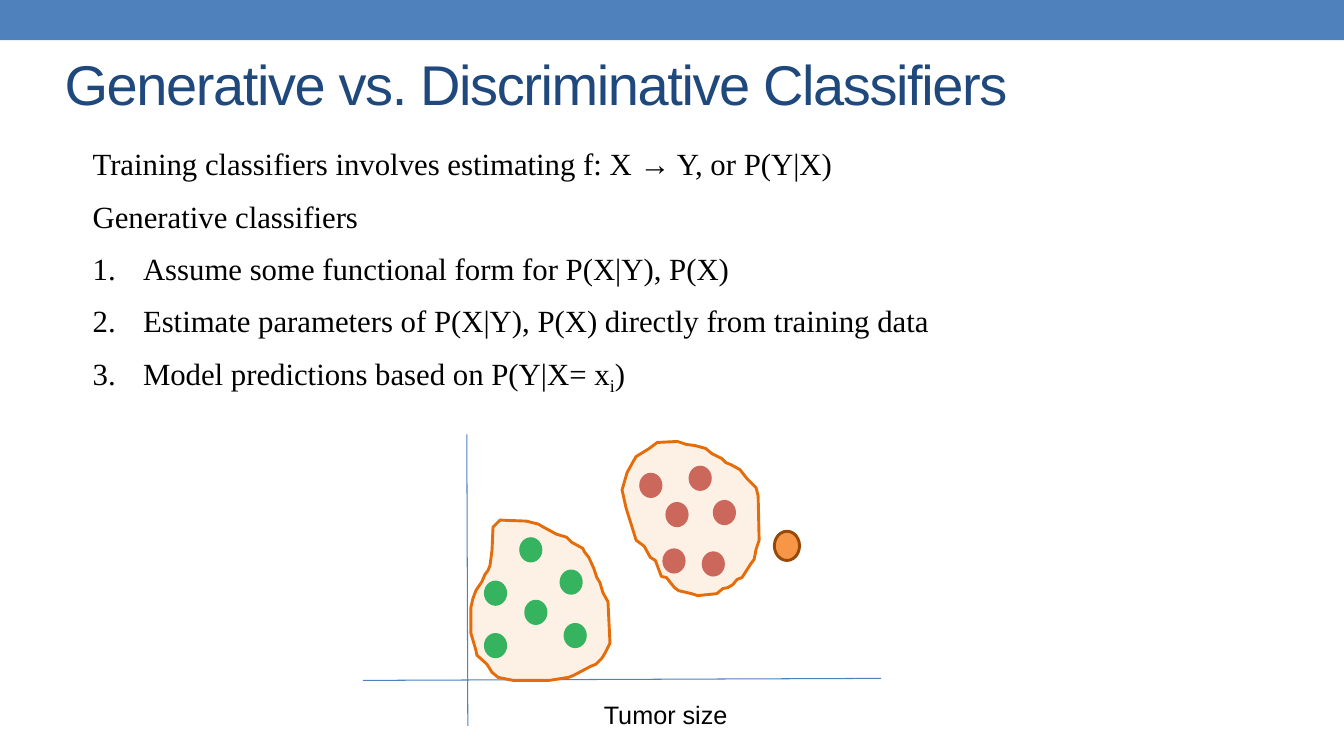
from lxml.etree import SubElement
from pptx import Presentation
from pptx.dml.color import RGBColor
from pptx.enum.shapes import MSO_CONNECTOR, MSO_SHAPE
from pptx.enum.text import MSO_ANCHOR, PP_ALIGN
from pptx.oxml.ns import qn
from pptx.util import Inches, Pt

COLUMNS, ROWS = 133.3, 75
BLUE, NAVY, BLACK = "4F81BD", "1F497D", "000000"
GREEN, RED, ORANGE, BROWN = "00B050", "C0504D", "F79646", "984807"
PEACH, RUST = "FAC090", "E46C0A"

INTRODUCTION = [
    ["Training classifiers involves estimating f: X → Y, or P(Y|X)"],
    ["Generative classifiers"],
]
STEPS = [
    ["Assume some functional form for P(X|Y), P(X)"],
    ["Estimate parameters of P(X|Y), P(X) directly from training data"],
    ["Model predictions based on P(Y|X= x", "i", ")"],
]
BENIGN_DOTS = [(48, 57.6), (48, 62.8), (52, 59.5), (51.5, 53.3), (55.5, 56.5), (55.9, 61.8)]
MALIGNANT_DOTS = [(63.4, 46.9), (66, 49.8), (68.3, 46.2), (70.7, 49.6), (69.6, 54.7), (65.7, 54.4)]
BENIGN_OUTLINE = [
    (48.9, 52.3), (48.8, 54.6), (48.6, 56.1), (48.4, 56.6), (48.1, 57), (47.8, 57.7),
    (47.2, 58.6), (46.9, 59.4), (46.7, 60.3), (46.7, 62.8), (47.2, 64.5), (47.3, 65),
    (48.3, 65.9), (48.8, 66.7), (49.4, 67.2), (50.9, 67.5), (54.5, 67.5), (56.4, 67.2),
    (56.9, 67), (58.6, 66.1), (59.1, 65.9), (59.7, 65.3), (60, 64.8), (60.5, 63.8),
    (60.3, 59.7), (59.8, 58.8), (59.5, 57.8), (59.2, 57.3), (58.9, 56.4), (58.4, 55.3),
    (58, 54.8), (57.8, 54.4), (56.7, 53.8), (56.2, 53.3), (55.2, 53), (53.9, 52.3),
    (53.4, 52), (52.2, 51.7), (49.6, 51.6), (49.1, 52.1),
]
MALIGNANT_OUTLINE = [
    (64.4, 44.5), (63.1, 45.3), (62.8, 45.8), (62.2, 46.9), (61.7, 48.6), (62.1, 50.4),
    (63.1, 53.6), (63.9, 54.2), (64.5, 55.3), (65, 55.6), (65.6, 57.2), (66.1, 57.3),
    (66.9, 58.3), (67.3, 58.6), (68.6, 58.9), (69.2, 59.1), (71.1, 58.9), (71.7, 58.4),
    (72.2, 58.3), (72.7, 58), (73.1, 57.5), (73.6, 57.3), (74.5, 55.9), (74.8, 55.5),
    (75, 54.5), (75.3, 53.6), (75.2, 49.2), (75, 48.4), (74.1, 47.5), (73.4, 46.6),
    (72.5, 46.1), (72, 45.9), (71.6, 45.5), (70.6, 45), (70, 44.5), (68.9, 44.2),
    (68.1, 44.1), (67.2, 43.8), (65.2, 43.9),
]


def colour(code):
    """Return the colour for a hex string."""
    return RGBColor.from_string(code)


class SlideBuilder:
    """Draws styled elements on one slide, measured in grid cells."""

    def __init__(self, deck):
        """Add a title-only slide to the deck."""
        self.cell = deck.slide_width / COLUMNS
        self.page = deck.slides.add_slide(deck.slide_layouts[5])
        self.heading_font, self.body_font = "Arial", "Times New Roman"
        self.outline_width = 2.08

    def grid(self, *cells):
        """Convert grid cells to lengths."""
        return [round(cell * self.cell) for cell in cells]

    def paint(self, shape, fill, line=None):
        """Give a shape its fill and outline."""
        shape.shadow.inherit = False
        shape.fill.solid()
        shape.fill.fore_color.rgb = colour(fill)
        if line:
            shape.line.color.rgb = colour(line)
            shape.line.width = Pt(self.outline_width)
        else:
            shape.line.fill.background()

    def style(self, paragraph, font, size, code):
        """Format every run of a paragraph."""
        for span in paragraph.runs:
            span.font.name, span.font.size = font, Pt(size)
            span.font.color.rgb = colour(code)

    def shape(self, kind, left, top, width, height, fill, line=None):
        """Draw a preset shape."""
        shape = self.page.shapes.add_shape(kind, *self.grid(left, top, width, height))
        self.paint(shape, fill, line)

    def title(self, text, *place):
        """Fill and move the title placeholder."""
        box = self.page.shapes.title
        box.left, box.top, box.width, box.height = self.grid(*place)
        box.text_frame.text = text
        box.text_frame.vertical_anchor = MSO_ANCHOR.MIDDLE
        paragraph = box.text_frame.paragraphs[0]
        paragraph.alignment = PP_ALIGN.LEFT
        self.style(paragraph, self.heading_font, 40, NAVY)
        paragraph.runs[0].font._element.set("spc", "-100")

    def label(self, text, *place):
        """Write a one-line label."""
        box = self.page.shapes.add_textbox(*self.grid(*place))
        box.text_frame.word_wrap = True
        box.text_frame.text = text
        self.style(box.text_frame.paragraphs[0], self.heading_font, 18, BLACK)

    def body(self, plain, numbered, *place):
        """Write plain and then numbered paragraphs; every second span is a subscript."""
        frame = self.page.shapes.add_textbox(*self.grid(*place)).text_frame
        frame.word_wrap = True
        for index, parts in enumerate(plain + numbered):
            paragraph = frame.add_paragraph() if index else frame.paragraphs[0]
            for order, text in enumerate(parts):
                span = paragraph.add_run()
                span.text = text
                if order % 2:
                    span.font._element.set("baseline", "-25000")
            self.style(paragraph, self.body_font, 22, BLACK)
            self.hang(paragraph, index >= len(plain))

    def hang(self, paragraph, numbered):
        """Set the hanging indent, half-line gap and number."""
        properties = paragraph._p.get_or_add_pPr()
        indent = Inches(0.5)
        properties.set("marL", str(indent))
        properties.set("indent", str(-indent))
        gap = SubElement(properties, qn("a:spcBef"))
        SubElement(gap, qn("a:spcPct"), val="50000")
        if numbered:
            SubElement(properties, qn("a:buAutoNum"), type="arabicPeriod")
        else:
            SubElement(properties, qn("a:buNone"))

    def axis(self, *ends):
        """Draw a thin axis line."""
        line = self.page.shapes.add_connector(MSO_CONNECTOR.STRAIGHT, *self.grid(*ends))
        line.line.color.rgb = colour(BLUE)
        line.line.width = Pt(0.75)
        SubElement(line._element.spPr, qn("a:effectLst"))

    def dots(self, places, fill):
        """Draw the samples of one class."""
        for left, top in places:
            self.shape(MSO_SHAPE.OVAL, left, top, 2.3, 2.5, fill)

    def region(self, outline):
        """Draw a translucent region around a class."""
        start, *others = [self.grid(*point) for point in outline]
        builder = self.page.shapes.build_freeform(*start)
        builder.add_line_segments(others, close=True)
        shape = builder.convert_to_shape()
        self.paint(shape, PEACH, RUST)
        tint = shape._element.spPr.find(qn("a:solidFill"))[0]
        SubElement(tint, qn("a:alpha"), val="22000")


def main():
    """Build and save the deck."""
    deck = Presentation()
    deck.slide_width, deck.slide_height = Inches(13.33), Inches(7.5)
    slide = SlideBuilder(deck)
    slide.shape(MSO_SHAPE.RECTANGLE, 0, 0, COLUMNS, 4, BLUE)
    slide.title("Generative vs. Discriminative Classifiers", 5.4, 3.2, 106.9, 10)
    slide.body(INTRODUCTION, STEPS, 8.2, 13.9, 106.9, 37.2)
    slide.axis(46.3, 43.1, 46.4, 72)
    slide.axis(87.4, 67.3, 36, 67.5)
    slide.dots(BENIGN_DOTS, GREEN)
    slide.dots(MALIGNANT_DOTS, RED)
    slide.label("Tumor size", 58.9, 68.9, 15.1, 4)
    slide.region(BENIGN_OUTLINE)
    slide.region(MALIGNANT_OUTLINE)
    slide.shape(MSO_SHAPE.OVAL, 76.8, 52.7, 2.5, 2.9, ORANGE, BROWN)
    deck.save("out.pptx")


if __name__ == "__main__":
    main()
